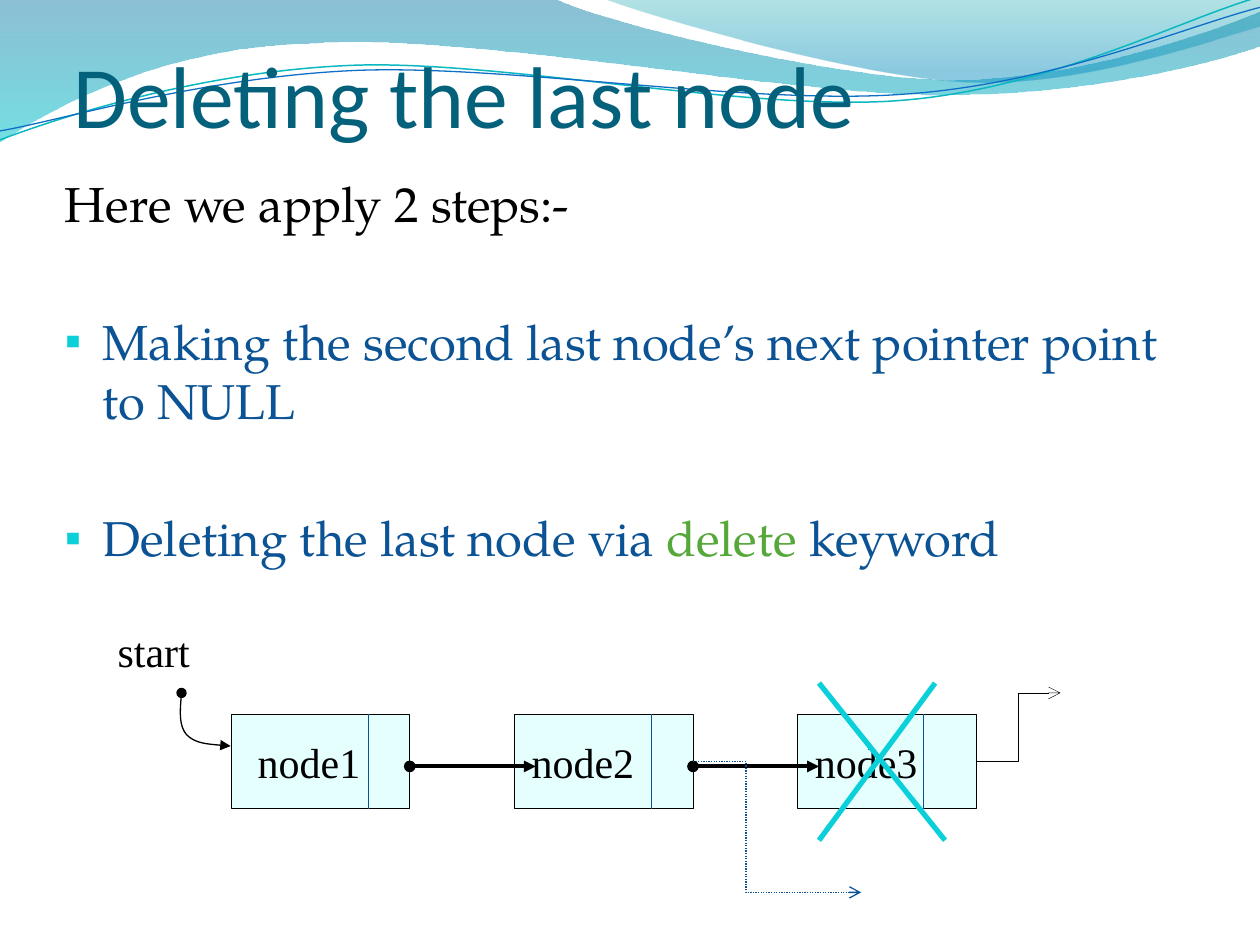
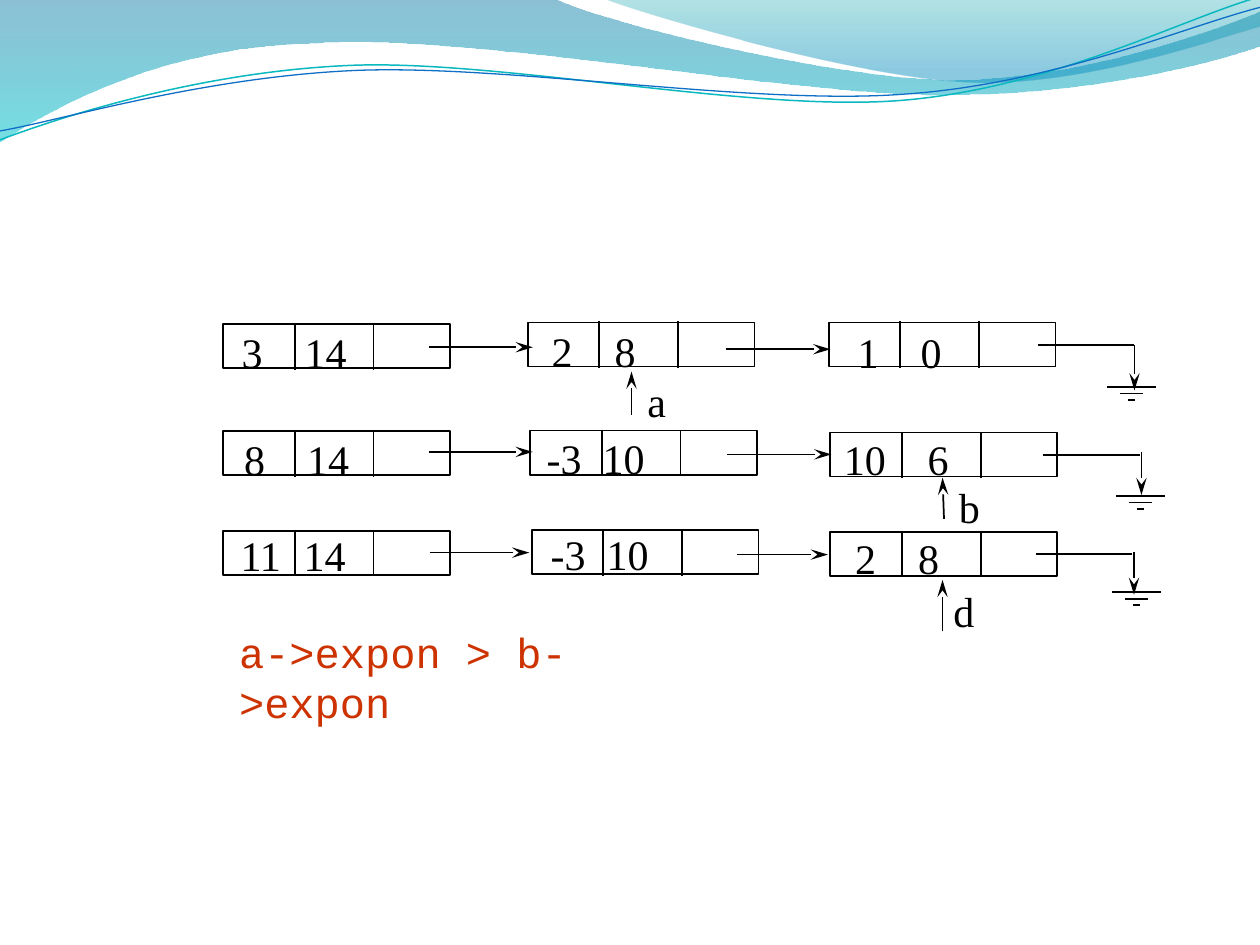
"""Builds two slides on linked lists: deleting the last node, and adding polynomials."""
from lxml import etree
from pptx import Presentation
from pptx.dml.color import RGBColor
from pptx.enum.dml import MSO_LINE
from pptx.enum.shapes import MSO_CONNECTOR, MSO_SHAPE
from pptx.enum.text import MSO_ANCHOR, PP_ALIGN
from pptx.oxml.ns import qn
from pptx.util import Cm, Pt

STRAIGHT, ELBOW = MSO_CONNECTOR.STRAIGHT, MSO_CONNECTOR.ELBOW
RECTANGLE = MSO_SHAPE.RECTANGLE
DOTTED = MSO_LINE.ROUND_DOT
TOP, MIDDLE, BOTTOM = MSO_ANCHOR.TOP, MSO_ANCHOR.MIDDLE, MSO_ANCHOR.BOTTOM
CENTER = PP_ALIGN.CENTER

BLACK = RGBColor(0x00, 0x00, 0x00)
TITLE_TEAL = RGBColor(0x04, 0x61, 0x7B)
STEP_BLUE = RGBColor(0x0B, 0x53, 0x94)
KEYWORD_GREEN = RGBColor(0x55, 0xA8, 0x39)
CYAN = RGBColor(0x0B, 0xD0, 0xD9)
NODE_FILL = RGBColor(0xCC, 0xFF, 0xFF)
DIVIDER_BLUE = RGBColor(0x09, 0x52, 0x95)
CODE_RED = RGBColor(0xCC, 0x33, 0x00)

TITLE_FONT, BODY_FONT = "Calibri", "TeX Gyre Pagella"
LABEL_FONT, CODE_FONT = "Times New Roman", "Courier New"

WAVE_BANDS = [
    ((0, 0),
     [[(11.18, -0.03)],
      [(12.09, 0.43), (16.87, 1.6), (19.25, 1.6)],
      [(21.67, 1.6), (24.33, 0.66), (25.4, 0.23)],
      [(25.43, 0.91)],
      [(24.97, 1.12), (22.1, 1.93), (18.95, 1.91)],
      [(15.8, 1.91), (9.7, 0.71), (6.53, 0.86)],
      [(3.28, 0.91), (1.17, 2.11), (-0.03, 2.87)],
      [(0, 0)]],
     [(0, RGBColor(0x00, 0x74, 0xA1), 45), (1, RGBColor(0x00, 0xC6, 0xCF), 55)]),
    ((12.17, -0.03),
     [[(12.93, 0.28), (17.32, 1.57), (19.53, 1.65)],
      [(21.74, 1.75), (24.41, 0.81), (25.4, 0.53)],
      [(25.4, 0)],
      [(12.17, -0.03)]],
     [(0, RGBColor(0x00, 0xA1, 0xA9), 30), (0.8, RGBColor(0x00, 0x8B, 0xBF), 45)]),
]
WAVE_LINES = [
    ((0, 2.82),
     [[(1.22, 2.36), (4.01, 1.45), (7.04, 1.32)],
      [(10.03, 1.19), (15.06, 2.26), (18.11, 2.03)],
      [(21.16, 1.8), (23.83, 0.38), (25.35, -0.05)]],
     RGBColor(0x0A, 0xB8, 0xBF), 0.85),
    ((0, 2.64),
     [[(1.19, 2.44), (4.09, 1.55), (7.19, 1.42)],
      [(10.24, 1.3), (15.16, 2.13), (18.21, 1.9)],
      [(21.23, 1.7), (23.9, 0.53), (25.4, 0.15)]],
     RGBColor(0x0F, 0x6F, 0xC6), 0.75),
]
START_CURVE = ((3.66, 13.97),
               [[(3.63, 14.3), (3.61, 14.63), (3.76, 14.81)],
                [(3.94, 14.99), (4.29, 15.01), (4.65, 15.04)]])

TITLE = "Deleting the last node"
INTRO = [("Here we apply 2 steps:-", BLACK)]
STEPS = [
    [("Making the second last node’s next pointer point to NULL", STEP_BLUE)],
    [("Deleting the last node via ", STEP_BLUE), ("delete ", KEYWORD_GREEN),
     ("keyword", STEP_BLUE)],
]

LIST_NODES = [("node1", 0.71, 2.77), ("node2", 1.09, 2.77), ("node3", 1.09, 2.54)]
NODE_LEFT, NODE_STEP, NODE_TOP = 4.66, 5.71, 14.4
NODE_WIDTH, NODE_HEIGHT = 3.6, 1.9
CROSS = [((16.51, 13.77), (19.05, 16.94)), ((18.85, 13.77), (16.51, 16.94))]

POLYNOMIALS = [
    {"terms": [("3", "14", (4.5, 6.53), (4.62, 6.45), 1.27),
               ("2", "8", (10.64, 6.5), (10.87, 6.43), 1.27),
               ("1", "0", (16.71, 6.5), (17.04, 6.45), 1.27)],
     "links": [(8.64, 10.74, 7.0), (14.63, 16.74, 7.04)],
     "lead": (20.93, 22.86, 6.96), "drop": (22.87, 6.96, 7.87), "bars": (22.81, 7.8)},
    {"terms": [("8", "14", (4.5, 8.69), (4.67, 8.61), 1.27),
               ("-3", "10", (10.69, 8.68), (10.77, 8.59), 1.13),
               ("10", "6", (16.74, 8.72), (16.76, 8.61), 1.69)],
     "links": [(8.64, 10.74, 9.11), (14.66, 16.76, 9.16)],
     "lead": (21.03, 22.99, 9.17), "drop": (23.01, 9.12, 9.98), "bars": (22.99, 10.0)},
    {"terms": [("11", "14", (4.5, 10.7), (4.6, 10.54), 1.27),
               ("-3", "10", (10.72, 10.69), (10.85, 10.53), 1.13),
               ("2", "8", (16.74, 10.72), (16.99, 10.62), 1.27)],
     "links": [(8.66, 10.67, 11.14), (14.86, 16.69, 11.18)],
     "lead": (20.88, 22.81, 11.17), "drop": (22.86, 11.13, 11.99), "bars": (22.91, 11.94)},
]
TERM_WIDTH, TERM_HEIGHT = 4.57, 0.89
TERM_DIVIDERS = [1.44, 3.03]
GROUND_BARS = [0.97, 0.48, 0.14]
GROUND_STEP = 0.13

POINTERS = [("a", (12.73, 8.36), (12.73, 7.49), (12.8, 7.44)),
            ("b", (19.03, 10.46), (19.0, 9.63), (19.08, 9.58)),
            ("d", (19.0, 12.73), (19.0, 11.69), (18.97, 11.68))]
COMPARISON = "a->expon > b->expon"


def add_child(parent, tag, **attributes):
    return etree.SubElement(parent, qn(tag), attributes)


def set_alpha(shape, percents):
    colours = shape._element.spPr.iter(qn("a:srgbClr"))
    for colour, percent in zip(colours, percents):
        add_child(colour, "a:alpha", val=str(percent * 1000))


def style_line(shape, colour, width, head=None, tail=None):
    shape.line.color.rgb = colour
    shape.line.width = Pt(width)
    outline = shape._element.spPr.find(qn("a:ln"))
    for tag, kind in (("a:headEnd", head), ("a:tailEnd", tail)):
        if kind:
            length = "lg" if kind == "stealth" else "med"
            add_child(outline, tag, type=kind, w="med", len=length)


def add_line(page, start, end, colour=BLACK, width=1, head=None, tail=None,
             kind=STRAIGHT, dash=None, bend=None):
    line = page.shapes.add_connector(kind, *map(Cm, start + end))
    if dash:
        line.line.dash_style = dash
    style_line(line, colour, width, head, tail)
    properties = line._element.spPr
    add_child(properties, "a:effectLst")
    if bend:
        guides = properties.find(qn("a:prstGeom")).find(qn("a:avLst"))
        add_child(guides, "a:gd", name="adj1", fmla=f"val {bend}")


def add_outline(page, start, segments, close=False):
    points = [(Cm(x), Cm(y)) for segment in segments for x, y in segment]
    builder = page.shapes.build_freeform(*map(Cm, start))
    builder.add_line_segments(points, close=close)
    shape = builder.convert_to_shape()
    shape.shadow.inherit = False
    steps = iter(list(shape._element.spPr.iter(qn("a:lnTo"))))
    for segment in segments:
        parts = [next(steps) for _ in segment]
        if len(parts) == 3:
            curve = etree.Element(qn("a:cubicBezTo"))
            parts[0].addprevious(curve)
            for part in parts:
                curve.append(part[0])
                part.getparent().remove(part)
    return shape


def add_curve(page, start, segments, colour, width, head=None, tail=None):
    curve = add_outline(page, start, segments)
    curve.fill.background()
    style_line(curve, colour, width, head, tail)


def add_waves(page):
    for start, segments, stops in WAVE_BANDS:
        band = add_outline(page, start, segments, close=True)
        band.fill.gradient()
        band.fill.gradient_angle = 270
        for stop, (position, colour, _) in zip(band.fill.gradient_stops, stops):
            stop.position = position
            stop.color.rgb = colour
        set_alpha(band, [alpha for _, _, alpha in stops])
        band.line.fill.background()
    for wave in WAVE_LINES:
        add_curve(page, *wave)


def set_font(para, name, size, colour=None):
    para.font.name = name
    para.font.size = Pt(size)
    if colour is not None:
        para.font.color.rgb = colour


def add_text(page, place, text="", name=LABEL_FONT, size=24, colour=BLACK,
             anchor=TOP, tab=None):
    box = page.shapes.add_textbox(*map(Cm, place))
    frame = box.text_frame
    frame.word_wrap = True
    frame.vertical_anchor = anchor
    para = frame.paragraphs[0]
    para.text = text
    if tab:
        tabs = add_child(para._p.get_or_add_pPr(), "a:tabLst")
        add_child(tabs, "a:tab", pos=str(Cm(tab)), algn="l")
    set_font(para, name, size, colour)
    return frame


def add_rectangle(page, left, top, width, height, line_width):
    box = page.shapes.add_shape(RECTANGLE, *map(Cm, (left, top, width, height)))
    box.shadow.inherit = False
    box.fill.background()
    style_line(box, BLACK, line_width)
    return box


def add_steps(page):
    frame = add_text(page, (1.06, 3.38, 22.86, 8.69))
    for index, spans in enumerate([INTRO] + STEPS):
        para = frame.add_paragraph() if index else frame.paragraphs[0]
        properties = para._p.get_or_add_pPr()
        properties.set("marL", str(Cm(0.76)))
        properties.set("indent", str(-Cm(0.76)))
        if index:
            para.space_before = Pt(45)
            bullet_colour = add_child(properties, "a:buClr")
            add_child(bullet_colour, "a:srgbClr", val=str(CYAN))
            add_child(properties, "a:buSzPct", val="95000")
            add_child(properties, "a:buFont", typeface=LABEL_FONT)
            add_child(properties, "a:buChar", char="▪")
        set_font(para, BODY_FONT, 28)
        for text, colour in spans:
            span = para.add_run()
            span.text = text
            span.font.color.rgb = colour


def add_list_nodes(page):
    lefts = [NODE_LEFT + index * NODE_STEP for index in range(len(LIST_NODES))]
    for left, (name, inset, divider) in zip(lefts, LIST_NODES):
        box = add_rectangle(page, left, NODE_TOP, NODE_WIDTH, NODE_HEIGHT, 0.25)
        box.fill.solid()
        box.fill.fore_color.rgb = NODE_FILL
        set_alpha(box, [50])
        frame = box.text_frame
        frame.margin_right = Cm(inset)
        frame.vertical_anchor = MIDDLE
        para = frame.paragraphs[0]
        para.text = name
        para.alignment = CENTER
        set_font(para, LABEL_FONT, 24, BLACK)
        add_line(page, (left + divider, NODE_TOP), (left + divider, NODE_TOP + NODE_HEIGHT),
                 DIVIDER_BLUE, 0.75)
    for left in lefts[:-1]:
        right = left + NODE_WIDTH
        add_line(page, (right, 15.45), (right + 2.54, 15.45), width=2.25,
                 head="oval", tail="triangle")


def build_deletion(page):
    title = add_text(page, (1.48, 0.61, 22.86, 2.34), TITLE, TITLE_FONT, 50,
                     TITLE_TEAL, BOTTOM)
    title.margin_left = title.margin_right = title.margin_bottom = 0
    add_steps(page)
    add_list_nodes(page)
    add_curve(page, *START_CURVE, BLACK, 0.75, "oval", "triangle")
    add_text(page, (2.12, 12.49, 2.97, 1.27), "start")
    add_line(page, (13.97, 15.35), (17.36, 17.99), DIVIDER_BLUE, 0.75, tail="arrow",
             kind=ELBOW, dash=DOTTED, bend=31500)
    add_line(page, (19.69, 15.35), (21.38, 13.97), width=0.25, tail="arrow", kind=ELBOW)
    for start, end in CROSS:
        add_line(page, start, end, CYAN, 3)


def add_ground(page, lead, drop, bars):
    lead_start, lead_end, lead_y = lead
    drop_x, drop_top, tip = drop
    centre, bar_y = bars
    add_line(page, (lead_start, lead_y), (lead_end, lead_y))
    add_line(page, (drop_x, drop_top), (drop_x, tip), tail="stealth")
    for index, width in enumerate(GROUND_BARS):
        y = bar_y + index * GROUND_STEP
        add_line(page, (centre - width / 2, y), (centre + width / 2, y))


def build_polynomials(page):
    for row in POLYNOMIALS:
        for coefficient, exponent, (left, top), text_corner, tab in row["terms"]:
            add_rectangle(page, left, top, TERM_WIDTH, TERM_HEIGHT, 1)
            for offset in TERM_DIVIDERS:
                x = left + offset
                add_line(page, (x, top - 0.02), (x, top + TERM_HEIGHT + 0.03))
            add_text(page, text_corner + (3.8, 1.27), f"{coefficient}\t{exponent}", tab=tab)
        for start, end, y in row["links"]:
            add_line(page, (start, y), (end, y), tail="stealth")
        add_ground(page, row["lead"], row["drop"], row["bars"])
    for label, start, tip, corner in POINTERS:
        add_line(page, start, tip, tail="stealth")
        add_text(page, corner + (0.95, 1.27), label)
    add_text(page, (4.57, 12.5, 10.13, 1.27), COMPARISON, CODE_FONT, colour=CODE_RED)


def main():
    deck = Presentation()
    deck.slide_width, deck.slide_height = Cm(25.4), Cm(19.05)
    for build in (build_deletion, build_polynomials):
        page = deck.slides.add_slide(deck.slide_layouts[6])
        add_waves(page)
        build(page)
    deck.save("out.pptx")


if __name__ == "__main__":
    main()
